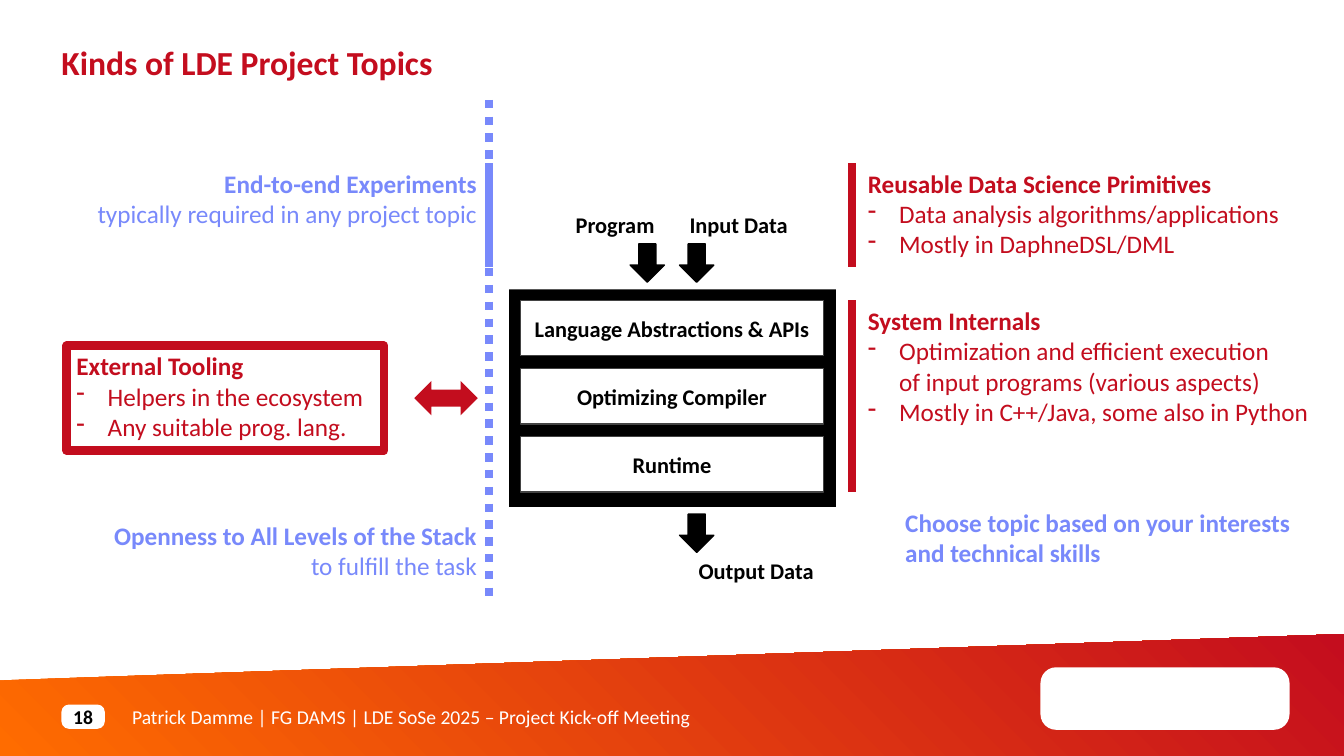
import pptx
import pptx.util
import pptx.dml.color
import pptx.enum.dml
import pptx.enum.shapes
import pptx.enum.text
import pptx.oxml
import pptx.oxml.ns
from lxml import etree

Inches = pptx.util.Inches
Pt = pptx.util.Pt
Shape = pptx.enum.shapes.MSO_SHAPE
Align = pptx.enum.text.PP_ALIGN
Anchor = pptx.enum.text.MSO_ANCHOR

FONT = "Calibri"
COLORS = {
    "red": "C30D1E",
    "title": "C40D1E",
    "orange": "FF6C00",
    "blue": "7889FB",
    "black": "000000",
    "white": "FFFFFF",
    "gray": "434343",
}


def rgb(name):
    """Return the named colour."""
    return pptx.dml.color.RGBColor.from_string(COLORS[name])


def style(par, size, color, bold, align=Align.LEFT):
    """Set the font and alignment of a paragraph."""
    par.alignment = align
    font = par.font
    font.name, font.size, font.bold = FONT, Pt(size), bold
    font.color.rgb = rgb(color)


def dash(par):
    """Give a paragraph a hanging dash bullet."""
    props = par._p.get_or_add_pPr()
    props.set("marL", str(Inches(0.31)))
    props.set("indent", str(-Inches(0.31)))
    mark = etree.SubElement(props, pptx.oxml.ns.qn("a:buChar"))
    mark.set("char", "-")


def write(frame, head, items=(), size=18, color="red", align=Align.LEFT, bullet=True):
    """Fill a frame with a bold head and plain items."""
    par = frame.paragraphs[0]
    par.text = head
    style(par, size, color, True, align)
    for item in items:
        par = frame.add_paragraph()
        par.text = item
        if bullet:
            dash(par)
        style(par, size, color, False, align)


def label(slide, box, head, items=(), **look):
    """Add a text box that does not wrap."""
    text = slide.shapes.add_textbox(*map(Inches, box))
    frame = text.text_frame
    frame.word_wrap = False
    frame.auto_size = pptx.enum.text.MSO_AUTO_SIZE.SHAPE_TO_FIT_TEXT
    write(frame, head, items, **look)


def block(slide, kind, box, fill, line=None, width=1):
    """Add a filled shape, outlined if a line colour is given."""
    shape = slide.shapes.add_shape(kind, *map(Inches, box))
    shape.shadow.inherit = False
    shape.fill.solid()
    shape.fill.fore_color.rgb = rgb(fill)
    if line:
        shape.line.color.rgb = rgb(line)
        shape.line.width = Pt(width)
    else:
        shape.line.fill.background()
    return shape


def rule(slide, x, top, end, color, dots=False):
    """Add a thick vertical line."""
    line = slide.shapes.add_connector(
        pptx.enum.shapes.MSO_CONNECTOR.STRAIGHT, *map(Inches, (x, top, x, end)))
    etree.SubElement(line._element.spPr, pptx.oxml.ns.qn("a:effectLst"))
    line.line.color.rgb = rgb(color)
    line.line.width = Pt(6)
    if dots:
        line.line.dash_style = pptx.enum.dml.MSO_LINE.ROUND_DOT


def title(slide, box, text):
    """Place and format the title."""
    head = slide.shapes.title
    head.left, head.top, head.width, head.height = map(Inches, box)
    frame = head.text_frame
    frame.margin_left = frame.margin_top = frame.margin_right = frame.margin_bottom = 0
    frame.vertical_anchor = Anchor.TOP
    frame.word_wrap = True
    write(frame, text, size=24, color="title")
    frame.paragraphs[0].line_spacing = Pt(28)


def footer(slide, box, text, number):
    """Draw the sloped band with page number, text and plate."""
    x, y, w, h = box
    points = [(x, y + 0.46), (x + w, y), (x + w, y + h), (x, y + h)]
    points = [(Inches(a), Inches(b)) for a, b in points]
    path = slide.shapes.build_freeform(*points[0], scale=1.0)
    path.add_line_segments(points[1:], close=True)
    band = path.convert_to_shape()
    band.shadow.inherit = False
    band.line.fill.background()
    band.fill.gradient()
    band.fill.gradient_angle = 45
    for stop, color in zip(band.fill.gradient_stops, ("orange", "title")):
        stop.color.rgb = rgb(color)
    plate = block(slide, Shape.ROUNDED_RECTANGLE, (x + 10.32, y + 0.33, 2.47, 0.62), "white")
    plate.adjustments[0] = 0.25
    page = block(slide, Shape.ROUNDED_RECTANGLE, (x + 0.61, y + 0.7, 0.43, 0.24), "white")
    page.adjustments[0] = 0.3
    note = slide.shapes.add_textbox(*map(Inches, (x + 1.31, y + 0.7, 8.33, 0.24)))
    for shape in (page, note):
        frame = shape.text_frame
        frame.margin_left = frame.margin_top = frame.margin_right = frame.margin_bottom = 0
        frame.vertical_anchor = Anchor.MIDDLE
        frame.word_wrap = True
    write(page.text_frame, number, size=14, color="black", align=Align.CENTER)
    note.text_frame.text = text
    style(note.text_frame.paragraphs[0], 14, "white", False)


def stack(slide, box, layers):
    """Draw the system stack with its inputs and output."""
    x, y, w, h = box
    block(slide, Shape.RECTANGLE, box, "black")
    for i, name in enumerate(layers):
        layer = block(slide, Shape.RECTANGLE,
                      (x + 0.11, y + 0.11 + i * 0.675, w - 0.23, 0.55), "white", "gray")
        layer.text_frame.vertical_anchor = Anchor.MIDDLE
        write(layer.text_frame, name, size=16, color="black", align=Align.CENTER)
    for dx, dy in ((1.2, -0.45), (1.69, -0.45), (1.69, h + 0.07)):
        block(slide, Shape.DOWN_ARROW, (x + dx, y + dy, 0.34, 0.38), "black", "black")
    for dx, dy, width, name, align in (
            (0.54, -0.82, 1, "Program", Align.RIGHT),
            (1.69, -0.82, 1.19, "Input Data", Align.LEFT),
            (1.77, h + 0.45, 1.36, "Output Data", Align.CENTER)):
        label(slide, (x + dx, y + dy, width, 0.37), name, size=16, color="black", align=align)


def topic(slide, box, bar, head, items):
    """Draw a topic beside a red bar of the given length."""
    x, y, w, h = box
    rule(slide, x, y, y + bar, "red")
    label(slide, (x + 0.06, y, w - 0.06, h), head, items)


def tools(slide, box, head, items):
    """Draw the framed tooling topic and its double arrow."""
    x, y, w, h = box
    frame = block(slide, Shape.RECTANGLE, box, "white", "red", 6).text_frame
    frame.vertical_anchor = Anchor.TOP
    write(frame, head, items)
    block(slide, Shape.LEFT_RIGHT_ARROW, (x + w + 0.3, y + 0.35, 0.63, 0.34), "red")


def common(slide, box):
    """Draw the blue remarks left of the dotted line."""
    x, y, w, h = box
    edge = x + w
    rule(slide, edge, y, y + h, "blue", dots=True)
    rule(slide, edge, y + 0.63, y + 1.66, "blue")
    for dy, width, head, item in (
            (0.63, 4.06, "End-to-end Experiments", "typically required in any project topic"),
            (4.12, 3.83, "Openness to All Levels of the Stack", "to fulfill the task")):
        label(slide, (edge - 0.02 - width, y + dy, width, 0.71), head, [item],
              color="blue", align=Align.RIGHT, bullet=False)


def main():
    """Build and save the slide."""
    deck = pptx.Presentation()
    deck.slide_width, deck.slide_height = Inches(13.33), Inches(7.5)
    slide = deck.slides.add_slide(deck.slide_layouts[5])
    footer(slide, (0, 6.29, 13.33, 1.21),
           "Patrick Damme | FG DAMS | LDE SoSe 2025 – Project Kick-off Meeting", "18")
    title(slide, (0.61, 0.43, 9.09, 0.78), "Kinds of LDE Project Topics")
    stack(slide, (5.05, 2.87, 3.24, 2.16),
          ["Language Abstractions & APIs", "Optimizing Compiler", "Runtime"])
    topic(slide, (8.45, 1.62, 4.39, 1.01), 1.03, "Reusable Data Science Primitives",
          ["Data analysis algorithms/applications", "Mostly in DaphneDSL/DML"])
    topic(slide, (8.45, 2.98, 4.68, 1.31), 1.9, "System Internals",
          ["Optimization and efficient execution\vof input programs (various aspects)",
           "Mostly in C++/Java, some also in Python"])
    tools(slide, (0.66, 3.43, 3.15, 1.04), "External Tooling",
          ["Helpers in the ecosystem", "Any suitable prog. lang."])
    common(slide, (0.77, 0.99, 4.08, 4.96))
    label(slide, (8.88, 4.98, 4.1, 0.71),
          "Choose topic based on your interests\vand technical skills", color="blue")
    deck.save("out.pptx")


if __name__ == "__main__":
    main()
